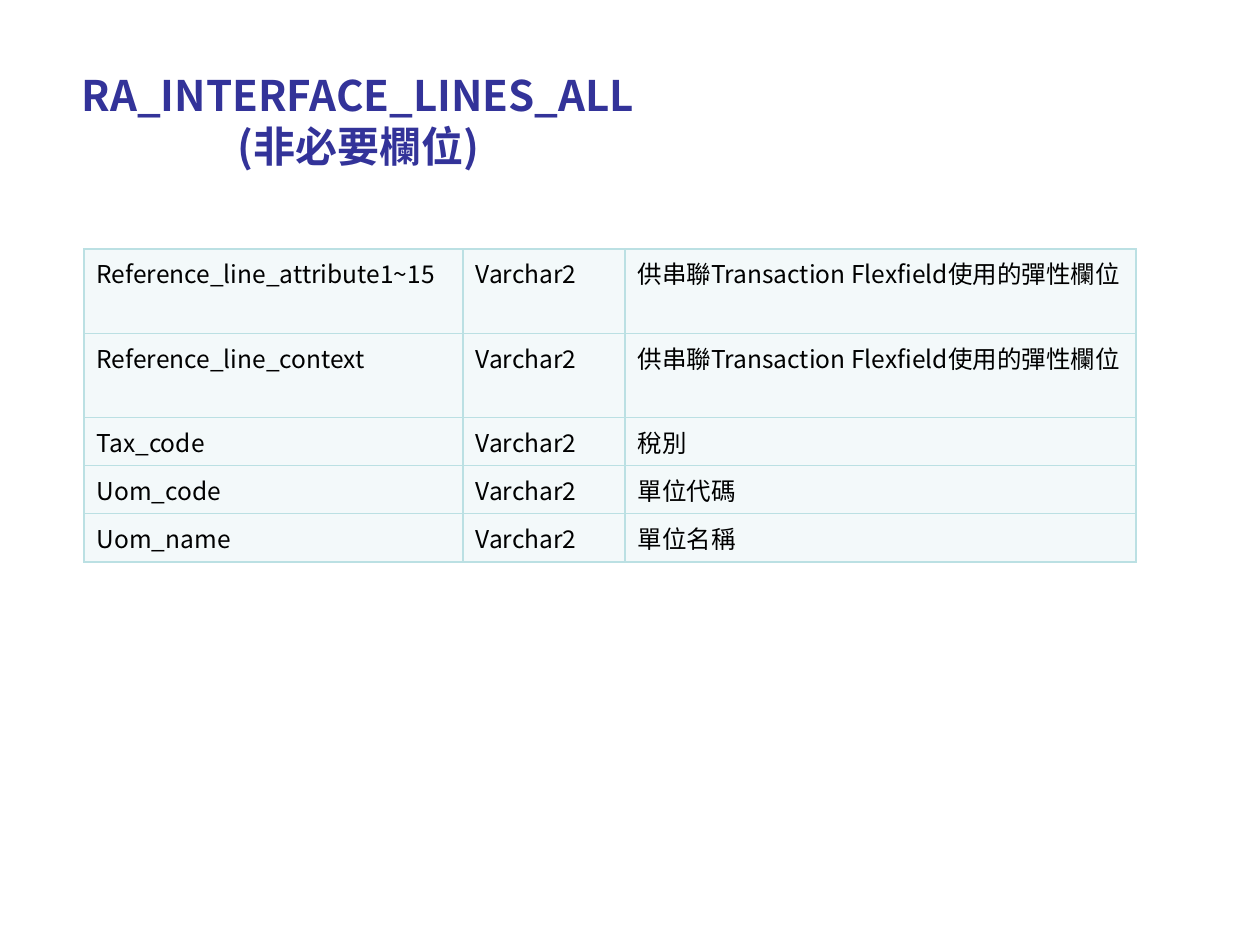
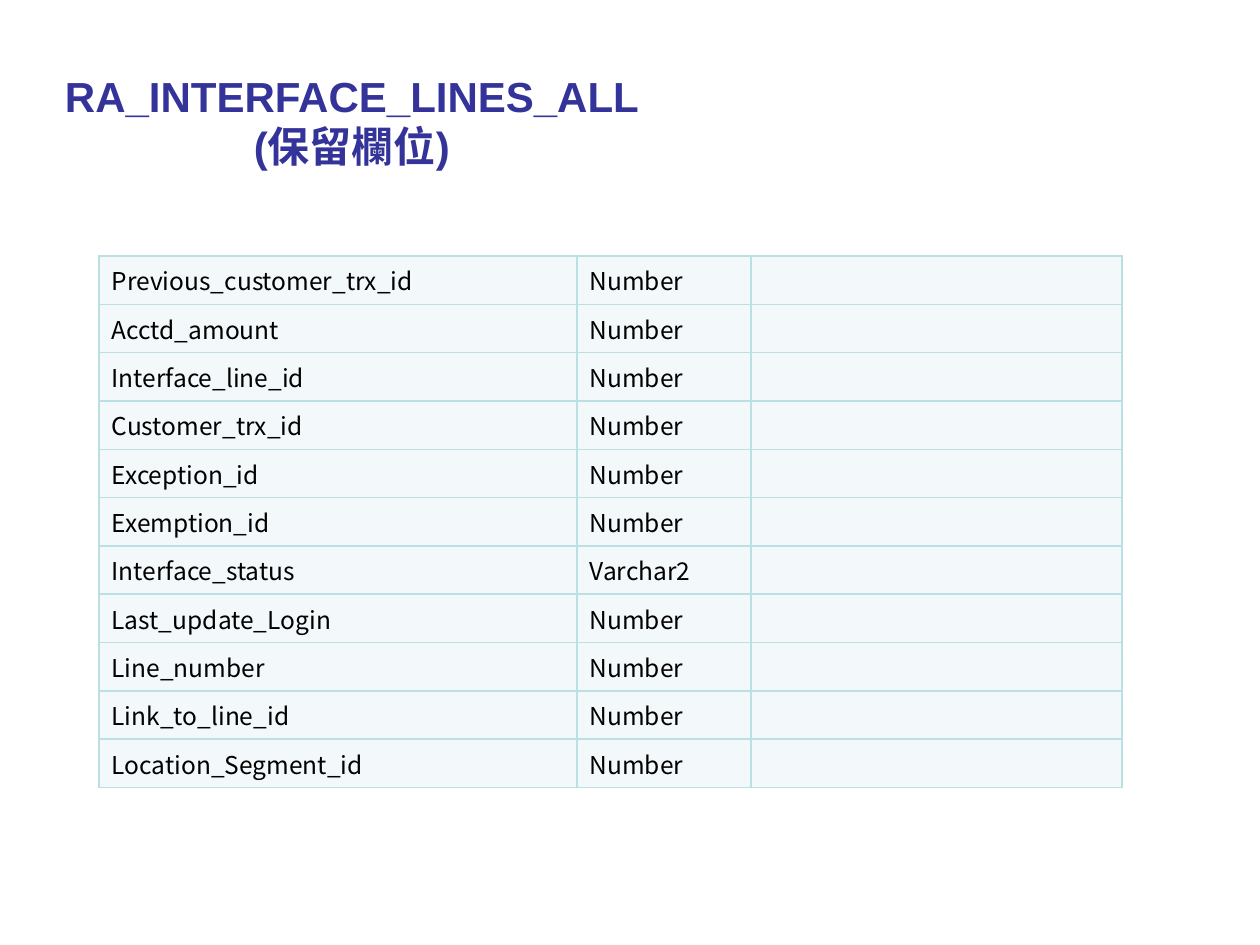
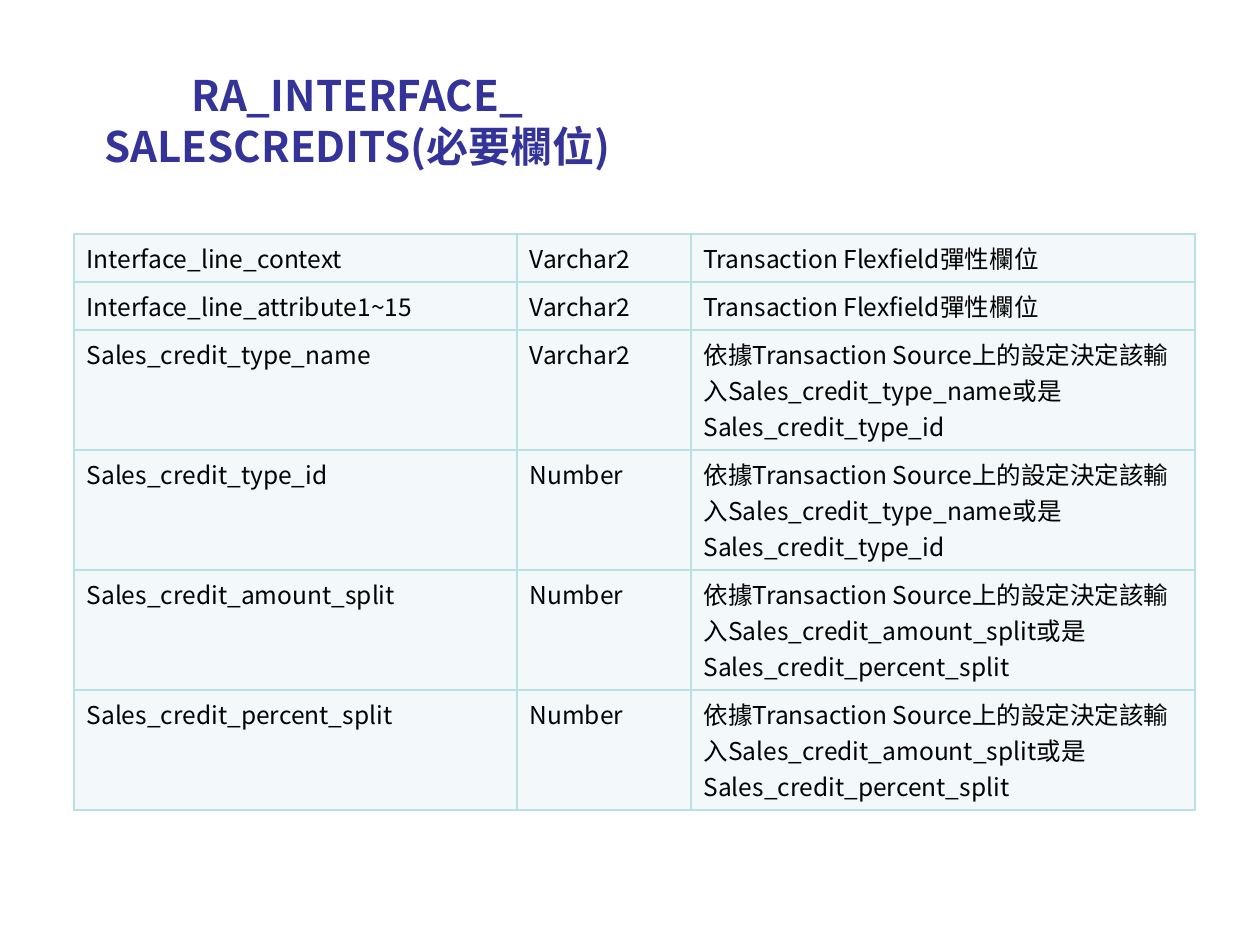
import dataclasses

import lxml.etree
import pptx
import pptx.dml.color
import pptx.enum.text
import pptx.oxml.ns
import pptx.util

EMU_PER_PX = 914400 / 126


@dataclasses.dataclass(frozen=True)
class Theme:
    title: str = "333399"
    text: str = "000000"
    fill: str = "F3F9FA"
    border: str = "BBE0E3"
    font: str = "Noto Sans CJK SC"
    title_pt: int = 24
    cell_pt: int = 14
    border_pt: int = 1


THEME = Theme()
LINE_HEIGHT = 36
CELL_PADDING = 12

TYPE_NAME_OR_ID = "依據Transaction Source上的設定決定該輸入Sales_credit_type_name或是Sales_credit_type_id"
AMOUNT_OR_PERCENT = "依據Transaction Source上的設定決定該輸入Sales_credit_amount_split或是Sales_credit_percent_split"
LINKED_FLEXFIELD = "供串聯Transaction Flexfield使用的彈性欄位"
FLEXFIELD = "Transaction Flexfield彈性欄位"
WRAPPED_LINES = {LINKED_FLEXFIELD: 2, TYPE_NAME_OR_ID: 3, AMOUNT_OR_PERCENT: 3}

OPTIONAL_LINES = [
    ("Reference_line_attribute1~15", "Varchar2", LINKED_FLEXFIELD),
    ("Reference_line_context", "Varchar2", LINKED_FLEXFIELD),
    ("Tax_code", "Varchar2", "稅別"),
    ("Uom_code", "Varchar2", "單位代碼"),
    ("Uom_name", "Varchar2", "單位名稱"),
]
RESERVED_LINES = [
    ("Previous_customer_trx_id", "Number", ""),
    ("Acctd_amount", "Number", ""),
    ("Interface_line_id", "Number", ""),
    ("Customer_trx_id", "Number", ""),
    ("Exception_id", "Number", ""),
    ("Exemption_id", "Number", ""),
    ("Interface_status", "Varchar2", ""),
    ("Last_update_Login", "Number", ""),
    ("Line_number", "Number", ""),
    ("Link_to_line_id", "Number", ""),
    ("Location_Segment_id", "Number", ""),
]
REQUIRED_SALESCREDITS = [
    ("Interface_line_context", "Varchar2", FLEXFIELD),
    ("Interface_line_attribute1~15", "Varchar2", FLEXFIELD),
    ("Sales_credit_type_name", "Varchar2", TYPE_NAME_OR_ID),
    ("Sales_credit_type_id", "Number", TYPE_NAME_OR_ID),
    ("Sales_credit_amount_split", "Number", AMOUNT_OR_PERCENT),
    ("Sales_credit_percent_split", "Number", AMOUNT_OR_PERCENT),
]


def px(n):
    return pptx.util.Emu(round(n * EMU_PER_PX))


def rgb(color):
    return pptx.dml.color.RGBColor.from_string(color)


def sub(parent, tag, **attrs):
    return lxml.etree.SubElement(parent, pptx.oxml.ns.qn(tag), attrs)


def add_run(p, text, size, color, font=THEME.font, bold=False):
    r = p.add_run()
    r.text = text
    r.font.size = pptx.util.Pt(size)
    r.font.bold = bold
    r.font.name = font
    r.font.color.rgb = rgb(color)
    sub(r._r.get_or_add_rPr(), "a:ea", typeface=THEME.font)


def add_title(s, box, lines, font):
    tf = s.shapes.add_textbox(*map(px, box)).text_frame
    tf.word_wrap = True
    tf.vertical_anchor = pptx.enum.text.MSO_ANCHOR.MIDDLE
    tf.margin_top = tf.margin_bottom = 0
    p = tf.paragraphs[0]
    p.alignment = pptx.enum.text.PP_ALIGN.CENTER
    for i, line in enumerate(lines):
        if i:
            p.add_line_break()
        add_run(p, line, THEME.title_pt, THEME.title, font, True)


def set_borders(cell):
    tc_pr = cell._tc.get_or_add_tcPr()
    width = str(pptx.util.Pt(THEME.border_pt))
    for i, side in enumerate("LRTB"):
        ln = sub(tc_pr, f"a:ln{side}", w=width)
        sub(sub(ln, "a:solidFill"), "a:srgbClr", val=THEME.border)
        tc_pr.insert(i, ln)


def fill_cell(cell, text):
    cell.fill.solid()
    cell.fill.fore_color.rgb = rgb(THEME.fill)
    set_borders(cell)
    p = cell.text_frame.paragraphs[0]
    if text:
        add_run(p, text, THEME.cell_pt, THEME.text)
    else:
        sub(p._p, "a:endParaRPr", sz=str(THEME.cell_pt * 100))


def add_field_table(s, left, top, height, widths, rows):
    """Share the height among the rows by their number of text lines."""
    frame = s.shapes.add_table(len(rows), len(widths), px(left), px(top),
                               px(sum(widths)), px(height))
    table = frame.table
    table.first_row = table.horz_banding = False
    for column, width in zip(table.columns, widths):
        column.width = px(width)
    needs = [CELL_PADDING + LINE_HEIGHT * WRAPPED_LINES.get(row[-1], 1) for row in rows]
    for i, row in enumerate(rows):
        table.rows[i].height = px(height * needs[i] / sum(needs))
        for j, text in enumerate(row):
            fill_cell(table.cell(i, j), text)


def add_field_slide(prs, title_box, title, table_place, widths, rows, font=THEME.font):
    s = prs.slides.add_slide(prs.slide_layouts[6])
    add_title(s, title_box, title, font)
    add_field_table(s, *table_place, widths, rows)


def main():
    prs = pptx.Presentation()
    prs.slide_width, prs.slide_height = px(1260), px(945)
    add_field_slide(prs, (16, 65, 684, 110),
                    ("RA_INTERFACE_LINES_ALL", "(非必要欄位)"),
                    (84, 249, 313), (379, 162, 511), OPTIONAL_LINES)
    add_field_slide(prs, (5, 76, 694, 89),
                    ("RA_INTERFACE_LINES_ALL", "(保留欄位)"),
                    (99, 256, 532), (478, 174, 371), RESERVED_LINES, font="Arial")
    add_field_slide(prs, (35, 65, 645, 110),
                    ("RA_INTERFACE_", "SALESCREDITS(必要欄位)"),
                    (74, 234, 576), (443, 174, 504), REQUIRED_SALESCREDITS)
    prs.save("out.pptx")


if __name__ == "__main__":
    main()
